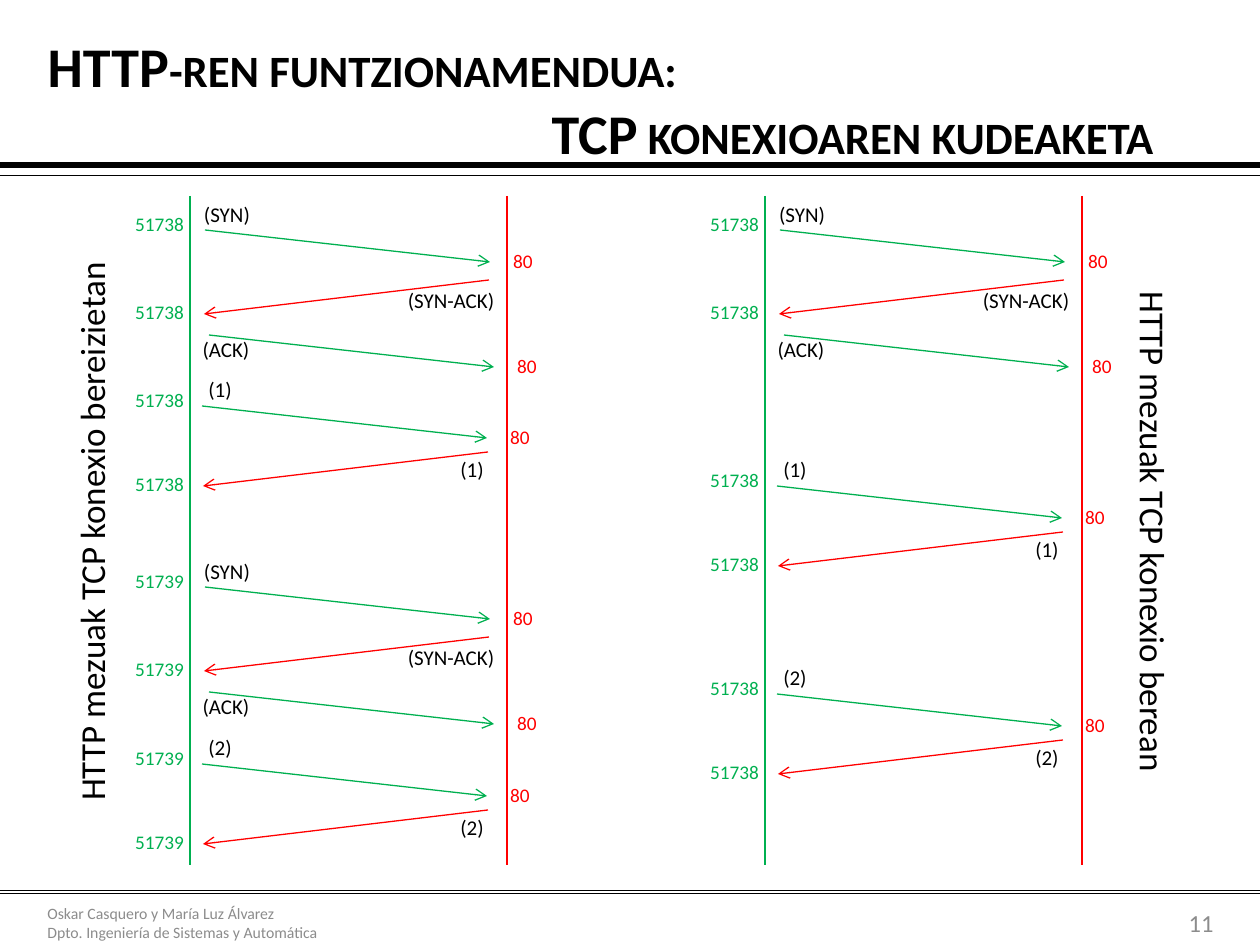
from pptx import Presentation
from pptx import util as u
from pptx.dml import color
from pptx.enum import shapes, text
from pptx.oxml import ns
from lxml import etree

SCALE = 914400 / 126
COLORS = {"black": "000000", "grey": "8C8C8C", "client": "00B050", "server": "FF0000"}
ALIGN = text.PP_ALIGN
ANCHOR = text.MSO_ANCHOR


def px(length):
    return u.Emu(round(length * SCALE))


def rgb(name):
    return color.RGBColor.from_string(COLORS[name])


def write(frame, lines, size=12, ink="black", align=ALIGN.CENTER, anchor=ANCHOR.TOP,
          bold=False, small_caps=False, fit=False):
    frame.word_wrap = True
    frame.auto_size = text.MSO_AUTO_SIZE.SHAPE_TO_FIT_TEXT if fit else text.MSO_AUTO_SIZE.NONE
    frame.vertical_anchor = anchor
    for index, line in enumerate(lines):
        para = frame.paragraphs[0] if index == 0 else frame.add_paragraph()
        para.alignment = align
        span = para.add_run()
        span.text = line
        span.font.name = "Calibri"
        span.font.size = u.Pt(size)
        span.font.bold = bold
        span.font.color.rgb = rgb(ink)
        if small_caps:
            span.font._element.set("cap", "small")


def add_text(page, box, lines, **style):
    shape = page.shapes.add_textbox(*map(px, box))
    write(shape.text_frame, lines, **style)
    return shape


def add_line(page, start, end, ink="black", width=0.75, arrow=False):
    line = page.shapes.add_connector(
        shapes.MSO_CONNECTOR.STRAIGHT, *map(px, (*start, *end)))
    line.line.color.rgb = rgb(ink)
    line.line.width = u.Pt(width)
    if arrow:
        outline = line.line._get_or_add_ln()
        etree.SubElement(outline, ns.qn("a:tailEnd"), type="arrow")
    etree.SubElement(line._element.spPr, ns.qn("a:effectLst"))


def add_title(page, box):
    title = page.shapes.title
    title.left, title.top, title.width, title.height = map(px, box)
    write(title.text_frame, ["HTTP-ren funtzionamendua:", "TCP konexioaren kudeaketa"],
          size=32, align=ALIGN.LEFT, anchor=ANCHOR.MIDDLE, bold=True, small_caps=True)
    # Second line is indented by four inches
    indented = title.text_frame.paragraphs[1]._p.get_or_add_pPr()
    indented.set("marL", str(px(504)))
    indented.set("indent", "0")


def add_frame(page, width):
    """Header and footer rules, authors and page number."""
    for y, weight in ((165, 3), (175, 0.25), (890, 0.25), (893, 0.25)):
        add_line(page, (0, y), (width, y), width=weight)
    add_text(page, (35, 898, 466, 50),
             ["Oskar Casquero y María Luz Álvarez", "Dpto. Ingeniería de Sistemas y Automática"],
             size=9, ink="grey", align=ALIGN.LEFT, anchor=ANCHOR.MIDDLE)
    add_text(page, (1126, 905, 100, 35), ["11"], size=14, ink="grey",
             align=ALIGN.RIGHT, anchor=ANCHOR.MIDDLE)


# Message: sender, arrow start x, arrow start y, label box (x, y, width)
def handshake():
    return [("client", 15, 0, "(SYN)", (1, -35, 72)),
            ("server", 299, 50, "(SYN-ACK)", (202, 51, 118)),
            ("client", 19, 105, "(ACK)", (-1, 100, 74))]


def exchange(number):
    return [("client", 12, 0, f"({number})", (-2, -36, 64)),
            ("server", 298, 46, f"({number})", (250, 44, 64))]


def add_messages(page, left, top, port, messages):
    for sender, x, y, label, (label_x, label_y, label_width) in messages:
        from_client = sender == "client"
        run, drop = (285, 32) if from_client else (-285, 34)
        start_y, end_y = top + y, top + y + drop
        add_line(page, (left + x, start_y), (left + x + run, end_y), sender, arrow=True)
        add_text(page, (left + label_x, top + label_y, label_width, 38), [label], fit=True)
        client_y = start_y if from_client else end_y
        if label != "(ACK)":
            offset = -24 if from_client else -20
            add_text(page, (left - 72, client_y + offset, 83, 36), [port],
                     size=11, ink="client", fit=True)
        if from_client:
            add_text(page, (left + x + run + 7, end_y - 19, 52, 36), ["80"],
                     size=11, ink="server", fit=True)


def add_diagram(page, box, groups):
    left, top, width, height = box
    for x, ink in ((left, "client"), (left + width, "server")):
        add_line(page, (x, top), (x, top + height), ink)
    for y, port, messages in groups:
        add_messages(page, left, top + y, port, messages)


def add_caption(page, box, caption, rotation=0):
    shape = add_text(page, box, [caption], size=20, fit=True)
    shape.text_frame._txBody.bodyPr.set("vert", "vert270")
    shape.rotation = rotation


deck = Presentation()
deck.slide_width, deck.slide_height = px(1260), px(945)
page = deck.slides.add_slide(deck.slide_layouts[5])

add_frame(page, 1260)
add_title(page, (35, 37, 1191, 123))

# Separate connections on the left, one shared connection on the right
add_diagram(page, (190, 196, 317, 669), [
    (34, "51738", handshake()), (210, "51738", exchange(1)),
    (391, "51739", handshake()), (568, "51739", exchange(2))])
add_diagram(page, (765, 196, 317, 669), [
    (34, "51738", handshake()), (290, "51738", exchange(1)),
    (498, "51738", exchange(2))])
add_caption(page, (64, 214, 68, 635), "HTTP mezuak TCP konexio bereizietan")
add_caption(page, (1113, 214, 68, 635), "HTTP mezuak TCP konexio berean", rotation=180)

deck.save("out.pptx")
